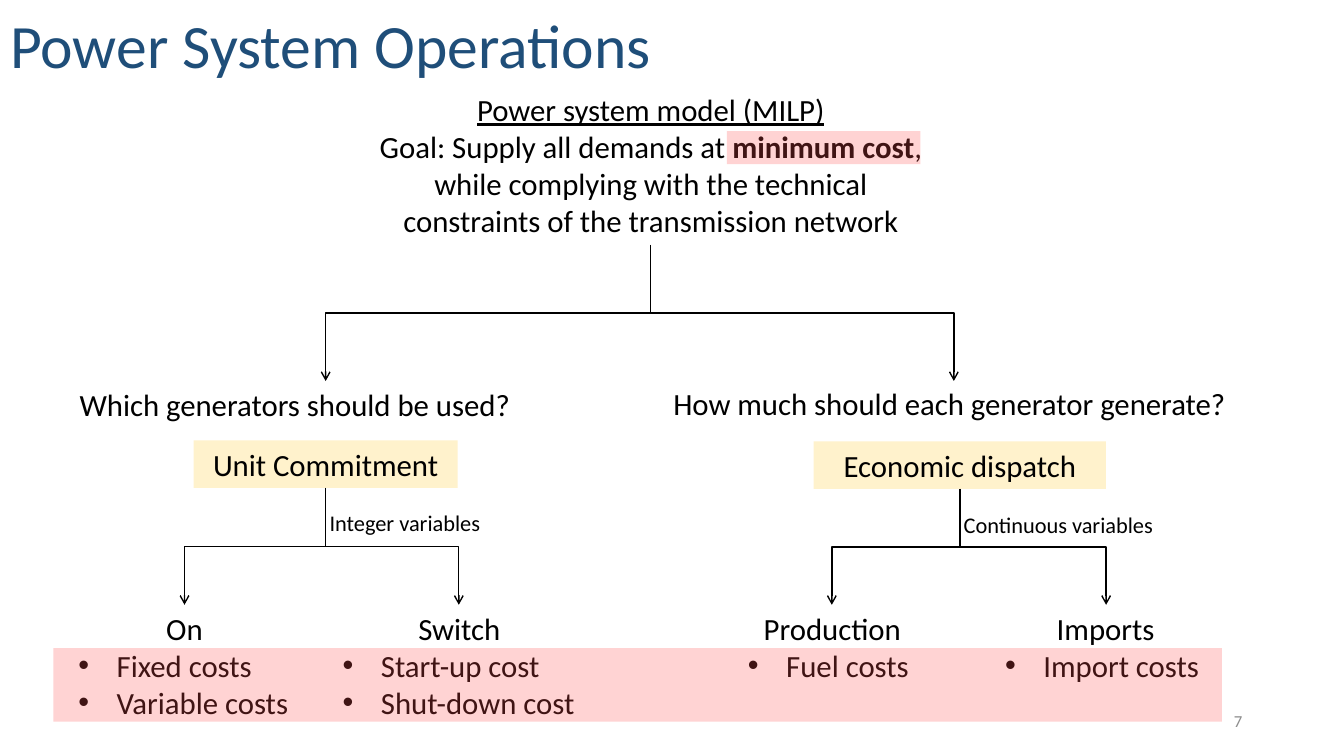
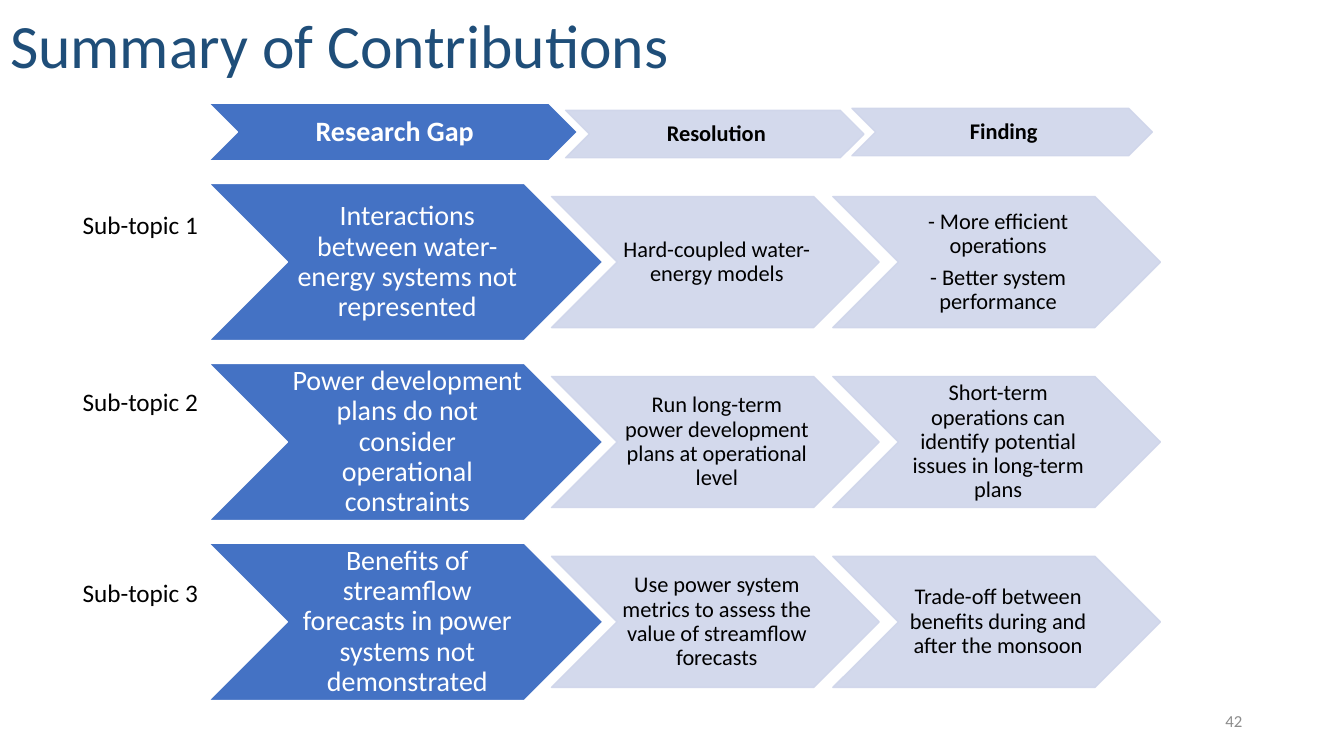
from lxml.etree import SubElement
from pptx import Presentation
from pptx.dml.color import RGBColor
from pptx.enum.shapes import MSO_CONNECTOR, MSO_SHAPE
from pptx.enum.text import MSO_ANCHOR, MSO_AUTO_SIZE, PP_ALIGN
from pptx.oxml.ns import qn
from pptx.util import Inches, Pt

COLORS = {
    "title": "1F4E79",
    "text": "000000",
    "white": "FFFFFF",
    "number": "8C8C8C",
    "answer": "FFF2CC",
    "highlight": "FF5050",
    "gap": "4472C4",
    "step": "CFD5EA",
}
FONT = "Calibri"
LEFT, CENTER, RIGHT = PP_ALIGN.LEFT, PP_ALIGN.CENTER, PP_ALIGN.RIGHT


def write_text(paragraph, text, size=22, color="text", bold=False, underline=False, align=LEFT):
    paragraph.alignment = align
    run = paragraph.add_run()
    run.text = text
    run.font.name = FONT
    run.font.size = Pt(size)
    run.font.bold = bold
    run.font.underline = underline
    run.font.color.rgb = RGBColor.from_string(COLORS[color])


def add_bullet(paragraph):
    properties = paragraph._p.get_or_add_pPr()
    properties.set("marL", str(Inches(0.38)))
    properties.set("indent", str(Inches(-0.38)))
    SubElement(properties, qn("a:buFont"), typeface="Arial")
    SubElement(properties, qn("a:buChar"), char="•")


def paint(fill, color, opacity=100):
    fill.solid()
    fill.fore_color.rgb = RGBColor.from_string(COLORS[color])
    if opacity < 100:
        for color_element in fill._xPr.iter(qn("a:srgbClr")):
            SubElement(color_element, qn("a:alpha"), val=str(opacity * 1000))


class Deck:
    def __init__(self):
        self.presentation = Presentation()
        self.presentation.slide_width = Inches(13.33)
        self.presentation.slide_height = Inches(7.5)
        self.slide = None

    def add_slide(self, title, number):
        self.slide = self.presentation.slides.add_slide(self.presentation.slide_layouts[5])
        shape = self.slide.shapes.title
        shape.left, shape.top = Inches(0), Inches(0.02)
        shape.width, shape.height = Inches(8), Inches(0.84)
        frame = shape.text_frame
        frame.auto_size = MSO_AUTO_SIZE.NONE
        frame.vertical_anchor = MSO_ANCHOR.TOP
        write_text(frame.paragraphs[0], title, size=44, color="title")
        frame = self.add_text(9.42, 6.95, 3, 0.4, number, size=12, color="number", align=RIGHT)
        frame.vertical_anchor = MSO_ANCHOR.MIDDLE

    def add_text(self, left, top, width, height, text, **text_format):
        shape = self.slide.shapes.add_textbox(
            Inches(left), Inches(top), Inches(width), Inches(height))
        frame = shape.text_frame
        frame.word_wrap = True
        write_text(frame.paragraphs[0], text, **text_format)
        return frame

    def add_list(self, left, width, heading, items):
        height = 0.47 + 0.37 * len(items)
        frame = self.add_text(left, 6, width, height, heading, align=CENTER)
        for item in items:
            paragraph = frame.add_paragraph()
            add_bullet(paragraph)
            write_text(paragraph, item)

    def add_block(self, kind, left, top, width, height, color, opacity=100):
        shape = self.slide.shapes.add_shape(
            kind, Inches(left), Inches(top), Inches(width), Inches(height))
        shape.shadow.inherit = False
        paint(shape.fill, color, opacity)
        shape.line.fill.background()
        return shape

    def add_answer(self, left, top, width, text):
        shape = self.add_block(MSO_SHAPE.RECTANGLE, left, top, width, 0.47, "answer")
        shape.text_frame.vertical_anchor = MSO_ANCHOR.TOP
        write_text(shape.text_frame.paragraphs[0], text, align=CENTER)

    def add_highlight(self, left, top, width, height):
        self.add_block(MSO_SHAPE.RECTANGLE, left, top, width, height, "highlight", 25)

    def add_branch(self, start_x, start_y, end_x, end_y):
        middle_x, middle_y = (start_x + end_x) / 2, (start_y + end_y) / 2
        side = 1 if end_x > start_x else -1
        reach = side * (end_y - start_y) / 2
        rise = abs(end_x - start_x) / 2
        connector = self.slide.shapes.add_connector(
            MSO_CONNECTOR.ELBOW,
            Inches(middle_x + reach), Inches(middle_y - rise),
            Inches(middle_x - reach), Inches(middle_y + rise))
        connector.rotation = 270 if side > 0 else 90
        connector.line.width = Pt(1)
        paint(connector.line.fill, "text")
        SubElement(connector.line._get_or_add_ln(), qn("a:tailEnd"), type="arrow")
        SubElement(connector._element.spPr, qn("a:effectLst"))

    def add_chevron(self, left, middle, width, height, texts, main=False, bold=False):
        color, opacity = ("gap", 100) if main else ("step", 90)
        shape = self.add_block(
            MSO_SHAPE.CHEVRON, left, middle - height / 2, width, height, color, opacity)
        shape.line.width = Pt(1)
        paint(shape.line.fill, "white" if main else "step", opacity)
        frame = shape.text_frame
        frame.word_wrap = True
        frame.vertical_anchor = MSO_ANCHOR.MIDDLE
        frame.margin_left, frame.margin_right = Inches(0.03), Inches(0)
        frame.margin_top = frame.margin_bottom = Inches(0.01)
        size = 20 if main else 16
        for index, text in enumerate(texts):
            paragraph = frame.add_paragraph() if index else frame.paragraphs[0]
            paragraph.line_spacing = 0.9
            paragraph.space_after = Pt(0.35 * size)
            write_text(paragraph, text, size=size, bold=bold, align=CENTER,
                       color="white" if main else "text")


def build_operations(deck):
    deck.add_slide("Power System Operations", "7")
    deck.add_answer(1.92, 4.37, 2.62, "Unit Commitment")
    deck.add_answer(8.07, 4.38, 2.9, "Economic dispatch")

    frame = deck.add_text(3.57, 0.85, 5.77, 1.58, "Power system model (MILP)",
                          underline=True, align=CENTER)
    goal = frame.add_paragraph()
    write_text(goal, "Goal: Supply all demands at ", align=CENTER)
    write_text(goal, "minimum cost", bold=True, align=CENTER)
    write_text(goal, ", while complying with the technical constraints of the "
                     "transmission network", align=CENTER)

    deck.add_text(0.69, 3.78, 5.08, 0.47, "Which generators should be used?")
    deck.add_text(6.58, 3.77, 5.77, 0.47, "How much should each generator generate?")
    deck.add_text(3.17, 5, 2.38, 0.37, "Integer variables", size=16)
    deck.add_text(9.46, 5.02, 2.31, 0.37, "Continuous variables", size=16)

    branches = [
        (6.45, 2.43, 3.78, (3.23, 9.46)),
        (3.23, 4.84, 6, (1.83, 4.55)),
        (9.52, 4.85, 6, (8.25, 10.97)),
    ]
    for start_x, start_y, end_y, ends in branches:
        for end_x in ends:
            deck.add_branch(start_x, start_y, end_x, end_y)

    deck.add_list(0.68, 2.3, "On", ["Fixed costs", "Variable costs"])
    deck.add_list(3.3, 2.51, "Switch", ["Start-up cost", "Shut-down cost"])
    deck.add_list(7.32, 1.87, "Production", ["Fuel costs"])
    deck.add_list(9.87, 2.19, "Imports", ["Import costs"])
    deck.add_highlight(0.53, 6.43, 11.59, 0.73)
    deck.add_highlight(7.21, 1.3, 1.92, 0.33)


def build_contributions(deck):
    deck.add_slide("Summary of Contributions", "42")
    deck.add_chevron(2.07, 1.31, 3.66, 0.57, ["Research Gap"], main=True, bold=True)
    deck.add_chevron(5.61, 1.33, 2.96, 0.47, ["Resolution"], bold=True)
    deck.add_chevron(8.45, 1.31, 2.98, 0.47, ["Finding"], bold=True)

    topics = [
        (2.03, "Interactions between water-energy systems not represented",
         "Hard-coupled water-energy models",
         ["- More efficient operations", "- Better system performance"]),
        (3.78, "Power development plans do not consider operational constraints",
         "Run long-term power development plans at operational level",
         ["Short-term operations can identify potential issues in long-term plans"]),
        (5.68, "Benefits of streamflow forecasts in power systems not demonstrated",
         "Use power system metrics to assess the value of streamflow forecasts",
         ["Trade-off between benefits during and after the monsoon"]),
    ]
    for index, (label_top, gap, resolution, findings) in enumerate(topics):
        middle = 2.6 + 1.785 * index
        deck.add_chevron(2.07, middle, 3.91, 1.56, [gap], main=True)
        deck.add_chevron(5.47, middle, 3.25, 1.3, [resolution])
        deck.add_chevron(8.26, middle, 3.25, 1.3, findings)
        deck.add_text(0.72, label_top, 1.68, 0.4, f"Sub-topic {index + 1}", size=18)


def main():
    deck = Deck()
    build_operations(deck)
    build_contributions(deck)
    deck.presentation.save("out.pptx")


if __name__ == "__main__":
    main()
